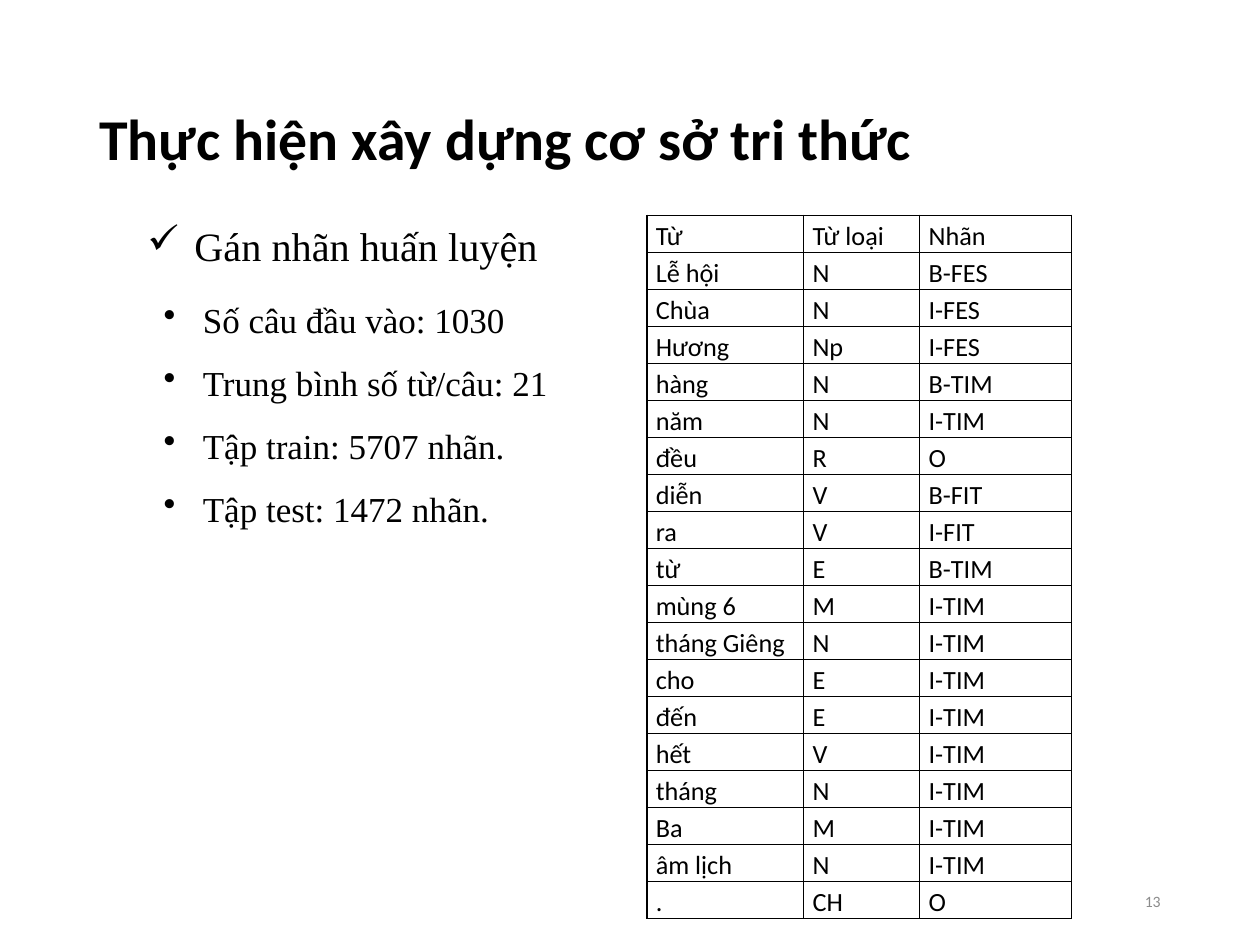
from lxml.etree import SubElement
from pptx import Presentation
from pptx.dml.color import RGBColor
from pptx.enum.text import MSO_ANCHOR, MSO_AUTO_SIZE, PP_ALIGN
from pptx.oxml.ns import qn
from pptx.util import Cm, Pt

COLORS = {"ink": "000000", "number": "8C8C8C"}
SANS, SERIF = "Calibri", "Times New Roman"

TAGGED_WORDS = [
    ("Từ", "Từ loại", "Nhãn"),
    ("Lễ hội", "N", "B-FES"),
    ("Chùa", "N", "I-FES"),
    ("Hương", "Np", "I-FES"),
    ("hàng", "N", "B-TIM"),
    ("năm", "N", "I-TIM"),
    ("đều", "R", "O"),
    ("diễn", "V", "B-FIT"),
    ("ra", "V", "I-FIT"),
    ("từ", "E", "B-TIM"),
    ("mùng 6", "M", "I-TIM"),
    ("tháng Giêng", "N", "I-TIM"),
    ("cho", "E", "I-TIM"),
    ("đến", "E", "I-TIM"),
    ("hết", "V", "I-TIM"),
    ("tháng", "N", "I-TIM"),
    ("Ba", "M", "I-TIM"),
    ("âm lịch", "N", "I-TIM"),
    (".", "CH", "O"),
]
STATISTICS = [
    "Số câu đầu vào: 1030",
    "Trung bình số từ/câu: 21",
    "Tập train: 5707 nhãn.",
    "Tập test: 1472 nhãn.",
]


def write(para, text, size, font=SANS, color="ink", bold=False,
          align=PP_ALIGN.LEFT, spacing=1.0, bullet=None, indent=0):
    if bullet:
        properties = para._p.get_or_add_pPr()
        properties.set("marL", str(Cm(indent)))
        properties.set("indent", str(-Cm(indent)))
        SubElement(properties, qn("a:buChar")).set("char", bullet)
    para.alignment = align
    para.line_spacing = spacing
    span = para.add_run()
    span.text = text
    span.font.name = font
    span.font.size = Pt(size)
    span.font.bold = bold
    span.font.color.rgb = RGBColor.from_string(COLORS[color])


def add_text(page, left, top, width, height, lines, anchor=MSO_ANCHOR.TOP,
             grow=False, **style):
    box = page.shapes.add_textbox(Cm(left), Cm(top), Cm(width), Cm(height))
    frame = box.text_frame
    frame.word_wrap = True
    frame.vertical_anchor = anchor
    frame.auto_size = MSO_AUTO_SIZE.SHAPE_TO_FIT_TEXT if grow else MSO_AUTO_SIZE.NONE
    for index, line in enumerate(lines):
        para = frame.add_paragraph() if index else frame.paragraphs[0]
        write(para, line, **style)


def place_title(page, left, top, width, height):
    title = page.shapes.title
    title.left, title.top = Cm(left), Cm(top)
    title.width, title.height = Cm(width), Cm(height)
    frame = title.text_frame
    frame.auto_size = MSO_AUTO_SIZE.NONE
    frame.vertical_anchor = MSO_ANCHOR.MIDDLE
    write(frame.paragraphs[0], "Thực hiện xây dựng cơ sở tri thức", 33,
          bold=True, spacing=0.9)


def add_training_notes(page, left, top, width):
    add_text(page, left, top, width, 1.24, ["Gán nhãn huấn luyện"], grow=True,
             size=23, font=SERIF, bullet="✓", indent=0.95)
    add_text(page, left + 0.33, top + 1.12, 8.56, 6.25, STATISTICS, grow=True,
             size=20, font=SERIF, spacing=1.5, bullet="•", indent=0.79)


def outline_cell(cell):
    properties = cell._tc.get_or_add_tcPr()
    for side in ("lnL", "lnR", "lnT", "lnB"):
        line = SubElement(properties, qn(f"a:{side}"), w=str(Pt(1)))
        fill = SubElement(line, qn("a:solidFill"))
        SubElement(fill, qn("a:srgbClr")).set("val", COLORS["ink"])


def add_label_table(page, left, top, column_widths, height):
    table = page.shapes.add_table(
        len(TAGGED_WORDS), len(column_widths), Cm(left), Cm(top),
        Cm(sum(column_widths)), Cm(height)).table
    table.first_row = table.horz_banding = False
    for column, width in zip(table.columns, column_widths):
        column.width = Cm(width)
    for row, words in zip(table.rows, TAGGED_WORDS):
        for cell, word in zip(row.cells, words):
            cell.margin_left = cell.margin_right = Cm(0.18)
            cell.margin_top = cell.margin_bottom = 0
            outline_cell(cell)
            cell.fill.background()
            write(cell.text_frame.paragraphs[0], word, 15,
                  align=PP_ALIGN.JUSTIFY, spacing=1.15)


def main():
    deck = Presentation()
    deck.slide_width, deck.slide_height = Cm(25.4), Cm(19.05)
    page = deck.slides.add_slide(deck.slide_layouts[5])
    place_title(page, 1.75, 1.02, 21.9, 3.68)
    add_label_table(page, 13.04, 4.34, (3.16, 2.34, 3.06), 13)
    add_training_notes(page, 2.72, 4.34, 12.7)
    add_text(page, 17.93, 17.65, 5.72, 1.02, ["13"], anchor=MSO_ANCHOR.MIDDLE,
             size=9, color="number", align=PP_ALIGN.RIGHT)
    deck.save("out.pptx")


if __name__ == "__main__":
    main()
